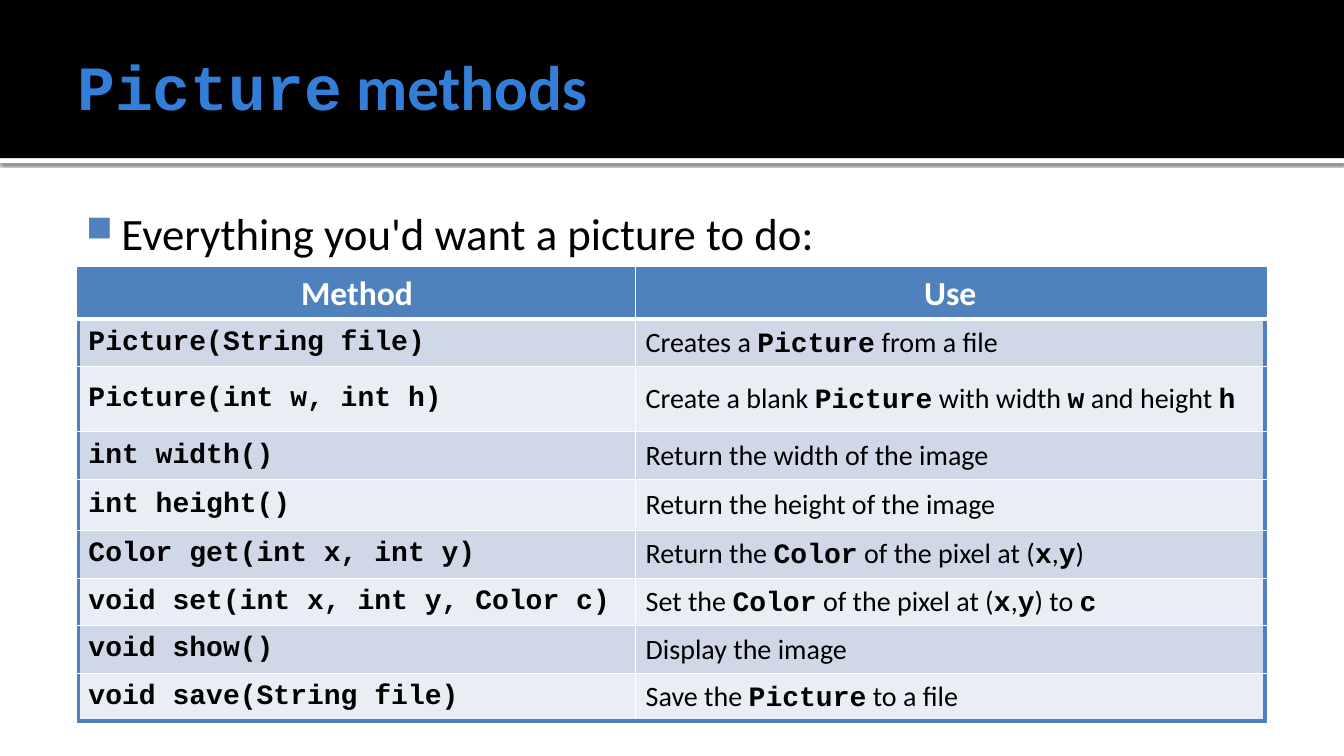
from dataclasses import dataclass
from lxml.etree import SubElement
from pptx import Presentation
from pptx.dml.color import RGBColor
from pptx.enum.shapes import MSO_SHAPE
from pptx.enum.text import MSO_ANCHOR as Anchor, MSO_AUTO_SIZE as AutoSize, PP_ALIGN as Align
from pptx.oxml.ns import qn
from pptx.util import Pt


@dataclass(frozen=True)
class Theme:
    black: str = "000000"
    white: str = "FFFFFF"
    title: str = "337ED9"
    accent: str = "4F81BD"
    bands: tuple = ("D0D8E8", "E9EDF4")
    text_font: str = "Calibri"
    code_font: str = "Courier New"
    title_size: int = 45
    body_size: int = 32
    header_size: int = 24
    cell_size: int = 20


THEME = Theme()
SLIDE_WIDTH, SLIDE_HEIGHT = 960, 540

# Words between backticks are set as code
METHODS = [
    ("`Picture(String file)`", "Creates a `Picture` from a file"),
    ("`Picture(int w, int h)`", "Create a blank `Picture` with width `w` and height `h`"),
    ("`int width()`", "Return the width of the image"),
    ("`int height()`", "Return the height of the image"),
    ("`Color get(int x, int y)`", "Return the `Color` of the pixel at (`x`,`y`)"),
    ("`void set(int x, int y, Color c)`", "Set the `Color` of the pixel at (`x`,`y`) to `c`"),
    ("`void show()`", "Display the image"),
    ("`void save(String file)`", "Save the `Picture` to a file"),
]
COLUMN_WIDTHS = (398, 449.5)
ROW_HEIGHT = 34
TALL_ROWS = {2: 46.5, 4: 36.5}


def apply(target, values):
    for name, value in values.items():
        setattr(target, name, value)


def write(paragraph, text, size, color, bold=False):
    """Alternate plain text and bold code at each backtick."""
    for index, part in enumerate(text.split("`")):
        if not part:
            continue
        is_code = index % 2 == 1
        run = paragraph.add_run()
        run.text = part
        apply(run.font, {
            "name": THEME.code_font if is_code else THEME.text_font,
            "size": Pt(size),
            "bold": bold or is_code,
        })
        run.font.color.rgb = RGBColor.from_string(color)


def add_bar(slide, box, color):
    bar = slide.shapes.add_shape(MSO_SHAPE.RECTANGLE, *map(Pt, box))
    bar.shadow.inherit = False
    bar.fill.solid()
    bar.fill.fore_color.rgb = RGBColor.from_string(color)
    bar.line.fill.background()
    return bar


def add_heading(slide, box, text):
    left, top, width, height = box
    # Black band above a thin white rule with a soft shadow
    rule = add_bar(slide, (left, top + height, width, 3.6), THEME.white)
    effects = rule._element.spPr.find(qn("a:effectLst"))
    shadow = SubElement(effects, qn("a:outerShdw"), blurRad=str(Pt(2.5)),
                        dist=str(Pt(0.8)), dir="5400000", rotWithShape="0")
    shade = SubElement(shadow, qn("a:srgbClr"), val=THEME.black)
    SubElement(shade, qn("a:alpha"), val="60000")
    add_bar(slide, box, THEME.black)

    # Title, in front of the band
    title = slide.shapes.title
    slide.shapes._spTree.append(title._element)
    apply(title, {"left": Pt(left + 48), "top": Pt(top + 12),
                  "width": Pt(width - 96), "height": Pt(height - 14.4)})
    apply(title.text_frame, {
        "margin_left": Pt(7.2), "margin_right": Pt(3.6),
        "margin_top": Pt(3.6), "margin_bottom": Pt(3.6),
        "vertical_anchor": Anchor.MIDDLE, "word_wrap": True,
        "auto_size": AutoSize.NONE,
    })
    paragraph = title.text_frame.paragraphs[0]
    paragraph.alignment = Align.LEFT
    write(paragraph, text, THEME.title_size, THEME.title, bold=True)


def add_lead(slide, box, text):
    lead = slide.shapes.add_textbox(*map(Pt, box))
    apply(lead.text_frame, {
        "margin_left": Pt(4.3), "margin_top": Pt(7.2),
        "margin_right": Pt(7.2), "margin_bottom": Pt(3.6), "word_wrap": True,
    })
    paragraph = lead.text_frame.paragraphs[0]
    # Square bullet with a hanging indent
    properties = paragraph._p.get_or_add_pPr()
    properties.set("marL", str(Pt(34.5)))
    properties.set("indent", str(Pt(-25.2)))
    bullet_color = SubElement(properties, qn("a:buClr"))
    SubElement(bullet_color, qn("a:srgbClr"), val=THEME.accent)
    SubElement(properties, qn("a:buSzPct"), val="80000")
    SubElement(properties, qn("a:buChar"), char="■")
    write(paragraph, text, THEME.body_size, THEME.black)


def add_borders(cell, borders):
    properties = cell._tc.get_or_add_tcPr()
    for side, (color, width) in borders.items():
        line = SubElement(properties, qn(f"a:ln{side}"), w=str(Pt(width)))
        fill = SubElement(line, qn("a:solidFill"))
        SubElement(fill, qn("a:srgbClr"), val=color)


def add_method_table(slide, left, top):
    rows = [("Method", "Use"), *METHODS]
    heights = [TALL_ROWS.get(index, ROW_HEIGHT) for index in range(len(rows))]
    table = slide.shapes.add_table(
        len(rows), len(COLUMN_WIDTHS), Pt(left), Pt(top),
        Pt(sum(COLUMN_WIDTHS)), Pt(sum(heights))).table
    for column, width in zip(table.columns, COLUMN_WIDTHS):
        column.width = Pt(width)

    outer, inner, under_header = (THEME.accent, 3), (THEME.white, 1), (THEME.white, 3)
    last_row, last_column = len(rows) - 1, len(COLUMN_WIDTHS) - 1
    for r, texts in enumerate(rows):
        table.rows[r].height = Pt(heights[r])
        is_header = r == 0
        for c, text in enumerate(texts):
            cell = table.cell(r, c)
            bottom = under_header if is_header else outer if r == last_row else inner
            add_borders(cell, {
                "L": outer if c == 0 else inner,
                "R": outer if c == last_column else inner,
                "T": outer if is_header else inner,
                "B": bottom,
            })
            cell.fill.solid()
            band = THEME.accent if is_header else THEME.bands[(r - 1) % 2]
            cell.fill.fore_color.rgb = RGBColor.from_string(band)
            paragraph = cell.text_frame.paragraphs[0]
            if is_header:
                paragraph.alignment = Align.CENTER
                write(paragraph, text, THEME.header_size, THEME.white, bold=True)
            else:
                cell.vertical_anchor = Anchor.MIDDLE
                write(paragraph, text, THEME.cell_size, THEME.black)


def main():
    deck = Presentation()
    apply(deck, {"slide_width": Pt(SLIDE_WIDTH), "slide_height": Pt(SLIDE_HEIGHT)})
    slide = deck.slides.add_slide(deck.slide_layouts[5])
    add_heading(slide, (0, 0, SLIDE_WIDTH, 113), "`Picture` methods")
    add_lead(slide, (48, 139.7, 864, 50), "Everything you'd want a picture to do:")
    add_method_table(slide, 56, 192)
    deck.save("out.pptx")


if __name__ == "__main__":
    main()
